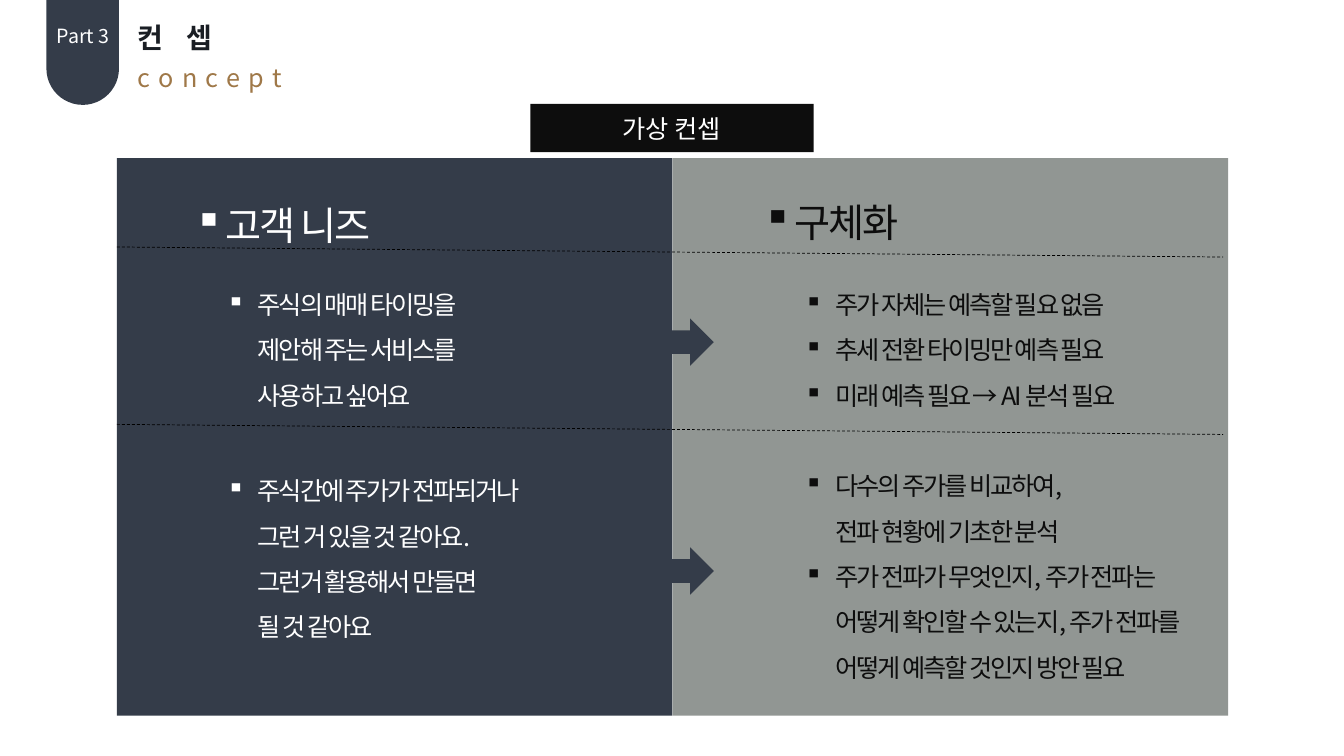
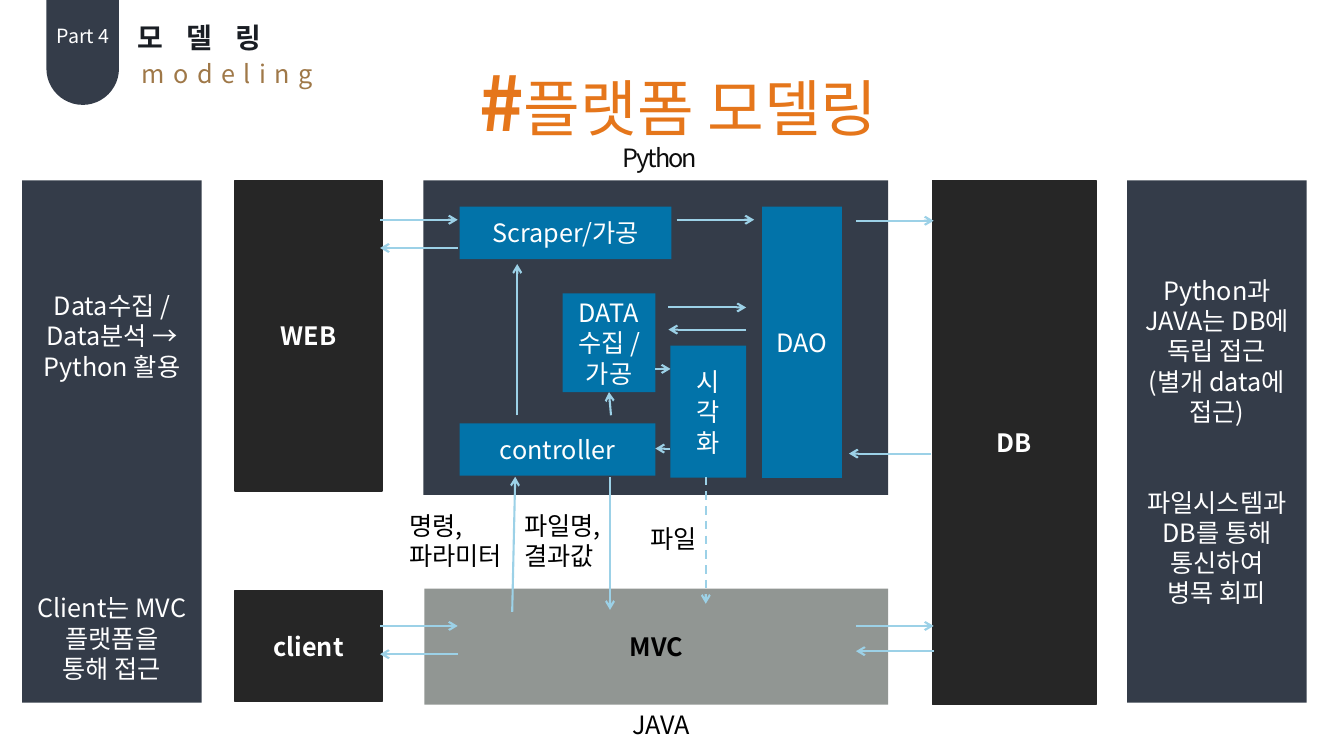
from lxml.etree import SubElement
from pptx import Presentation
from pptx.dml.color import RGBColor
from pptx.enum.dml import MSO_LINE
from pptx.enum.shapes import MSO_CONNECTOR, MSO_SHAPE
from pptx.enum.text import MSO_ANCHOR, MSO_AUTO_SIZE, PP_ALIGN
from pptx.oxml.ns import qn
from pptx.util import Pt

PX = 9144
FONT = "Noto Sans CJK KR"
NAVY, GRAY, CHARCOAL, INK = "343C49", "919693", "262626", "0D0D0D"
BLUE, SKY, ORANGE, GOLD = "0273A9", "9CD1E7", "E5761B", "9F7848"
TITLE, WHITE, BLACK = "1A1E24", "FFFFFF", "000000"


def rgb(value):
    """Turn a hex string into a colour."""
    return RGBColor.from_string(value)


class Deck:
    """Hold the shared style and the slide being drawn."""

    def __init__(self, width, height):
        """Start an empty presentation."""
        self.prs = Presentation()
        self.prs.slide_width, self.prs.slide_height = width * PX, height * PX
        self.slide = None

    def new_slide(self, part, title, subtitle, subtitle_at):
        """Add a slide with its part tab, title and subtitle."""
        self.slide = self.prs.slides.add_slide(self.prs.slide_layouts[6])
        tab = self.shape((46, 0, 72, 104), NAVY, MSO_SHAPE.ROUND_2_SAME_RECTANGLE)
        tab.adjustments[0], tab.adjustments[1] = 0.5, 0
        tab.rotation = 180
        self.label((46, 19, 73, 34), [part], wrap=False, size=14,
                   color=WHITE, align=PP_ALIGN.CENTER)
        title_width = 111 if len(title) < 4 else 166
        self.label((127, 15, title_width, 44), [title], wrap=False, size=20,
                   color=TITLE, bold=True, spacing=6)
        self.label(subtitle_at, [subtitle], wrap=False, color=GOLD, spacing=6)

    def shape(self, at, fill, kind=MSO_SHAPE.RECTANGLE, outline=None):
        """Add a flat filled shape."""
        shape = self.slide.shapes.add_shape(kind, *(v * PX for v in at))
        shape.shadow.inherit = False
        shape.fill.solid()
        shape.fill.fore_color.rgb = rgb(fill)
        if outline:
            shape.line.color.rgb = rgb(outline)
            shape.line.width = Pt(1)
        else:
            shape.line.fill.background()
        return shape

    def block(self, at, fill, paragraphs, outline=None, inset_top=5, **style):
        """Add a rectangle with centred text."""
        frame = self.shape(at, fill, outline=outline).text_frame
        frame.word_wrap = True
        frame.vertical_anchor = MSO_ANCHOR.MIDDLE
        frame.margin_top = inset_top * PX
        self.fill_text(frame, paragraphs,
                       **{"color": WHITE, "align": PP_ALIGN.CENTER, **style})

    def label(self, at, paragraphs, wrap=True, **style):
        """Add a text box."""
        frame = self.slide.shapes.add_textbox(*(v * PX for v in at)).text_frame
        frame.word_wrap = wrap
        frame.auto_size = MSO_AUTO_SIZE.SHAPE_TO_FIT_TEXT
        self.fill_text(frame, paragraphs, **style)

    def bullets(self, at, paragraphs, **style):
        """Add a bulleted text box with tight letters."""
        self.label(at, paragraphs, bullet=True, spacing=-1.5, **style)

    def fill_text(self, frame, paragraphs, align=PP_ALIGN.LEFT, bullet=False, gaps=(), **style):
        """Fill a text frame; gaps maps a paragraph index to its space before."""
        gaps = dict(gaps)
        for index, content in enumerate(paragraphs):
            paragraph = frame.add_paragraph() if index else frame.paragraphs[0]
            paragraph.alignment = align
            if bullet:
                props = paragraph._p.get_or_add_pPr()
                props.set("marL", str(31 * PX))
                props.set("indent", str(-31 * PX))
                SubElement(props, qn("a:buChar")).set("char", "▪")
                paragraph.line_spacing = 1.5
            if index in gaps:
                paragraph.space_before = Pt(gaps[index])
            runs = [(content, {})] if isinstance(content, str) else content
            for text, own in runs:
                for row, line in enumerate(text.split("\n")):
                    if row:
                        paragraph.add_line_break()
                    self.run(paragraph, line, **{**style, **own})

    def run(self, paragraph, text, size=18, color=BLACK, bold=False, spacing=0):
        """Add one run of text."""
        run = paragraph.add_run()
        run.text = text
        font = run.font
        font.size, font.bold, font.name = Pt(size), bold, FONT
        font.color.rgb = rgb(color)
        props = run._r.get_or_add_rPr()
        SubElement(props, qn("a:ea")).set("typeface", FONT)
        if spacing:
            props.set("spc", str(int(spacing * 100)))

    def line(self, x1, y1, x2, y2, color=SKY, width=1.5, dashed=False, arrow=True):
        """Add a straight line, by default an arrow."""
        line = self.slide.shapes.add_connector(
            MSO_CONNECTOR.STRAIGHT, *(v * PX for v in (x1, y1, x2, y2)))
        line.line.color.rgb = rgb(color)
        line.line.width = Pt(width)
        if dashed:
            line.line.dash_style = MSO_LINE.DASH
        if arrow:
            outline = line._element.spPr.find(qn("a:ln"))
            SubElement(outline, qn("a:tailEnd")).set("type", "arrow")
        SubElement(line._element.spPr, qn("a:effectLst"))


def concept(deck):
    """Draw customer needs beside their concrete form."""
    deck.new_slide("Part 3", "컨 셉", "concept", (127, 57, 170, 71))
    for left, fill in ((116, NAVY), (667, GRAY)):
        deck.shape((left, 157, 551, 553), fill)
    deck.bullets((183, 171, 435, 72), ["고객 니즈"], size=28, color=WHITE)
    deck.bullets((747, 168, 338, 72), ["구체화"], size=28, color=INK)
    deck.bullets((215, 267, 350, 379), [
        "주식의 매매 타이밍을\n제안해 주는 서비스를\n사용하고 싶어요",
        "주식간에 주가가 전파되거나 그런 거 있을 것 같아요.\n그런거 활용해서 만들면\n될 것 같아요",
    ], color=WHITE, gaps={1: 36})
    deck.bullets((788, 267, 412, 419), [
        "주가 자체는 예측할 필요 없음",
        "추세 전환 타이밍만 예측 필요",
        "미래 예측 필요 → AI 분석 필요",
        "다수의 주가를 비교하여,\n전파 현황에 기초한 분석",
        "주가 전파가 무엇인지, 주가 전파는 어떻게 확인할 수 있는지, "
        "주가 전파를 어떻게 예측할 것인지 방안 필요",
    ], color=INK, gaps={3: 32.4})
    for top in (316, 543):
        deck.shape((635, top, 73, 47), NAVY, MSO_SHAPE.RIGHT_ARROW)
    for top in (245, 421):
        deck.line(116, top, 1213, top + 10, BLACK, 0.5, dashed=True, arrow=False)
    deck.block((526, 103, 281, 48), INK, ["가상 컨셉"])


def modeling(deck):
    """Draw the platform model."""
    deck.new_slide("Part 4", "모 델 링", "modeling", (131, 53, 196, 71))
    deck.label((444, 51, 458, 101), [
        [("#", {"size": 54, "bold": True}), ("플랫폼 모델링", {"size": 44})],
    ], color=ORANGE, align=PP_ALIGN.CENTER)

    deck.block((421, 584, 460, 115), GRAY, ["MVC"], color=BLACK, bold=True)
    deck.shape((420, 179, 461, 312), NAVY)
    for name, at in (("WEB", (233, 179, 146, 308)),
                     ("DB", (925, 179, 162, 520)),
                     ("client", (233, 586, 146, 110))):
        deck.block(at, CHARCOAL, [name], outline=CHARCOAL, bold=True)
    for at, name in (((456, 205, 210, 52), ["Scraper/가공"]),
                     ((756, 205, 79, 269), ["DAO"]),
                     ((456, 420, 194, 52), ["controller"]),
                     ((558, 291, 92, 98), ["DATA", "수집 /", "가공"]),
                     ((665, 343, 75, 131), ["시\n각\n화"])):
        deck.block(at, BLUE, name)

    deck.block((22, 179, 178, 518), NAVY, [
        "Data수집 /",
        "Data분석 →\nPython 활용",
        "Client는 MVC플랫폼을\n통해 접근",
    ], inset_top=95, gaps={2: 151.2})
    deck.block((1118, 179, 178, 518), NAVY, [
        "Python과 JAVA는 DB에 독립 접근\n(별개 data에 접근)",
        "파일시스템과 DB를 통해\n통신하여\n병목 회피",
    ], gaps={1: 43.2})

    for start, end, levels in ((377, 454, (218, 621)), (454, 377, (246, 649)),
                               (849, 926, (219, 621)), (926, 849, (646,)),
                               (671, 748, (218,)), (663, 740, (305,)),
                               (740, 663, (327,)), (923, 842, (450,)),
                               (650, 665, (366,)), (665, 650, (445,))):
        for y in levels:
            deck.line(start, y, end, y)
    for ends in ((508, 607, 511, 473), (513, 412, 513, 262),
                 (606, 412, 604, 389), (605, 473, 605, 605)):
        deck.line(*ends)
    deck.line(700, 473, 700, 599, dashed=True)

    for at, words in (((635, 514, 138, 40), ["파일"]),
                      ((510, 501, 138, 71), ["파일명,", "결과값"]),
                      ((396, 501, 138, 71), ["명령,", "파라미터"]),
                      ((617, 699, 105, 40), ["JAVA"])):
        deck.label(at, words)
    deck.label((608, 136, 105, 40), ["Python"], color=INK, spacing=-1.5)


def main():
    """Build and save the slides."""
    deck = Deck(1333, 750)
    concept(deck)
    modeling(deck)
    deck.prs.save("out.pptx")


if __name__ == "__main__":
    main()
